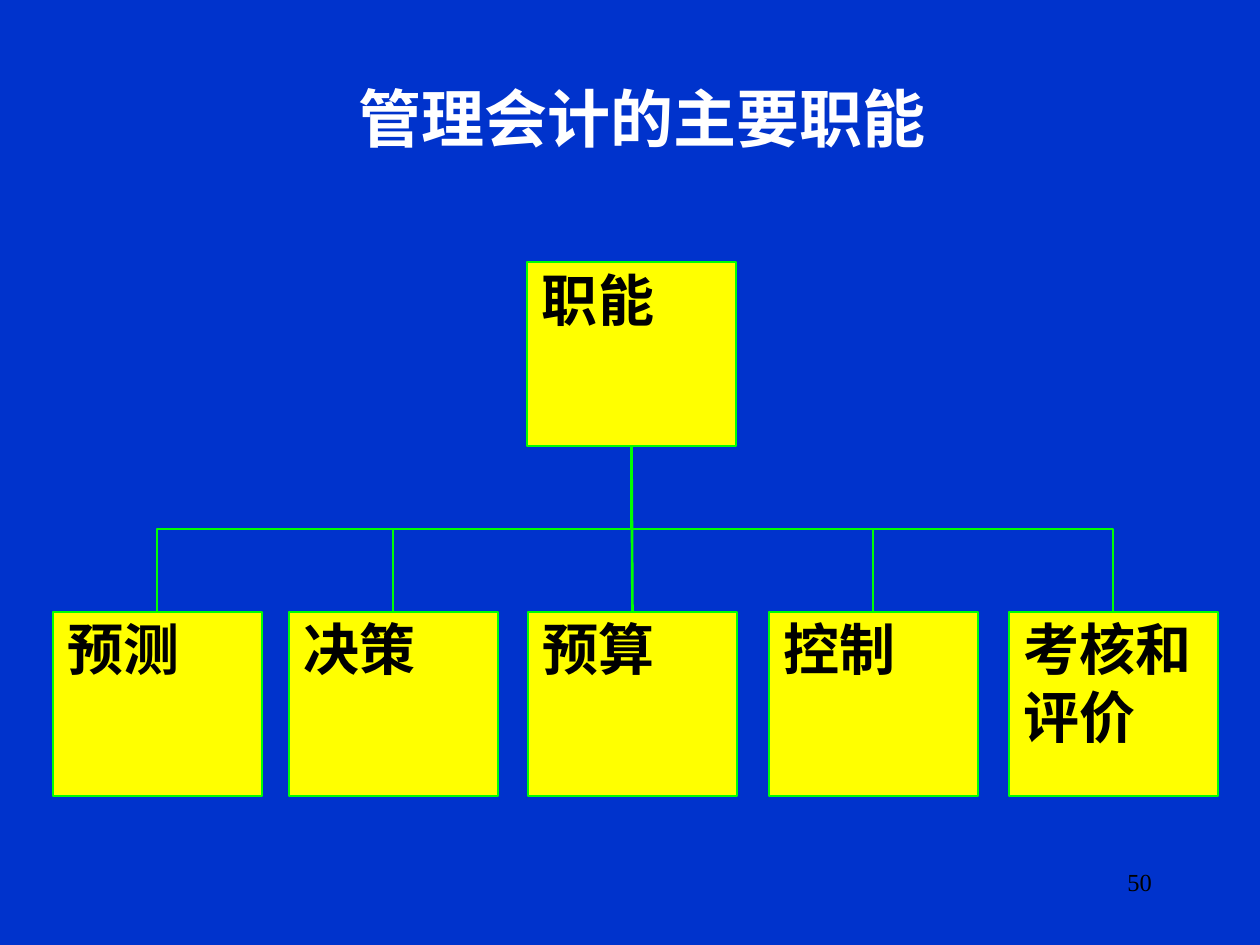
from dataclasses import dataclass

from lxml import etree
from pptx import Presentation
from pptx.dml.color import RGBColor
from pptx.enum.shapes import MSO_CONNECTOR, MSO_SHAPE
from pptx.enum.text import MSO_ANCHOR, MSO_AUTO_SIZE, PP_ALIGN
from pptx.oxml.ns import qn
from pptx.shapes.autoshape import Shape
from pptx.slide import Slide
from pptx.util import Emu, Pt

ELBOW, STRAIGHT = MSO_CONNECTOR.ELBOW, MSO_CONNECTOR.STRAIGHT
RECTANGLE = MSO_SHAPE.RECTANGLE
TOP = MSO_ANCHOR.TOP
NO_AUTOFIT = MSO_AUTO_SIZE.NONE
LEFT, RIGHT = PP_ALIGN.LEFT, PP_ALIGN.RIGHT
EMU_PER_PX = 914400 / 126
BLUE, YELLOW, GREEN, WHITE, BLACK = "0033CC", "FFFF00", "00FF00", "FFFFFF", "000000"
FONT = "Times New Roman"
BOX_WIDTH, BOX_HEIGHT = 209, 184
BOX_INSETS = (15, 3, 3, 3)
TITLE_INSETS = (13, 6, 0, 6)
NUMBER_INSETS = (13, 6, 13, 6)
BOTTOM_SITE, TOP_SITE = 2, 0
QUARTER_TURN, THREE_QUARTER_TURN = "5400000", "16200000"


@dataclass(frozen=True)
class Function:
    """One box of the chart, with its label and top left corner in px."""
    label: str
    left: int
    top: int = 612

    @property
    def center(self) -> int:
        """Return the horizontal middle of the box."""
        return self.left + BOX_WIDTH // 2


ROOT = Function("职能", 527, 262)
BRANCHES = (
    Function("预测", 53),
    Function("决策", 289),
    Function("预算", 528),
    Function("控制", 769),
    Function("考核和评价", 1009),
)


def px(value: float) -> Emu:
    """Turn px into EMU."""
    return Emu(round(value * EMU_PER_PX))


def color(value: str) -> RGBColor:
    """Turn a hex string into a colour."""
    return RGBColor.from_string(value)


def write(shape: Shape, text: str, size: int, ink: str, insets: tuple[int, ...],
          bold: bool = True, alignment: PP_ALIGN = LEFT) -> None:
    """Fill a shape with one formatted paragraph."""
    frame = shape.text_frame
    sides = ("margin_left", "margin_top", "margin_right", "margin_bottom")
    frame_format = dict(zip(sides, map(px, insets)))
    frame_format |= {"word_wrap": True, "auto_size": NO_AUTOFIT, "vertical_anchor": TOP}
    for name, value in frame_format.items():
        setattr(frame, name, value)
    para = frame.paragraphs[0]
    para.alignment = alignment
    span = para.add_run()
    span.text = text
    for name, value in {"name": FONT, "size": Pt(size), "bold": bold}.items():
        setattr(span.font, name, value)
    span.font.color.rgb = color(ink)


def draw_box(page: Slide, function: Function) -> Shape:
    """Draw one labelled box."""
    place = (function.left, function.top, BOX_WIDTH, BOX_HEIGHT)
    box = page.shapes.add_shape(RECTANGLE, *map(px, place))
    box.shadow.inherit = False
    box.fill.solid()
    box.fill.fore_color.rgb = color(YELLOW)
    box.line.color.rgb = color(GREEN)
    box.line.width = Pt(1)
    write(box, function.label, 32, BLACK, BOX_INSETS)
    return box


def draw_branch(page: Slide, root_box: Shape, box: Shape, branch: Function) -> None:
    """Join the root box to a branch box, bending halfway down."""
    offset = branch.center - ROOT.center
    straight = abs(offset) < 2
    connector = page.shapes.add_connector(STRAIGHT if straight else ELBOW, 0, 0, 0, 0)
    connector.begin_connect(root_box, BOTTOM_SITE)
    connector.end_connect(box, TOP_SITE)
    connector.line.color.rgb = color(GREEN)
    connector.line.width = Pt(1.5)
    properties = connector._element.spPr
    etree.SubElement(properties, qn("a:effectLst"))
    if straight:
        return
    start = ROOT.top + BOX_HEIGHT
    drop, spread = branch.top - start, abs(offset)
    middle_x, middle_y = ROOT.center + offset / 2, start + drop / 2
    geometry = {"left": middle_x - drop / 2, "top": middle_y - spread / 2,
                "width": drop, "height": spread}
    for name, value in geometry.items():
        setattr(connector, name, px(value))
    rightward = offset > 0
    turn = {"rot": THREE_QUARTER_TURN if rightward else QUARTER_TURN,
            "flipH": "1" if rightward else "0", "flipV": "0"}
    for name, value in turn.items():
        properties.xfrm.set(name, value)


def main() -> None:
    """Build the slide and save it."""
    deck = Presentation()
    deck.slide_width, deck.slide_height = px(1260), px(945)
    page = deck.slides.add_slide(deck.slide_layouts.get_by_name("Title Only"))
    page.background.fill.solid()
    page.background.fill.fore_color.rgb = color(BLUE)

    title = page.shapes.title
    place = {"left": 345, "top": 73, "width": 592, "height": 88}
    for name, value in place.items():
        setattr(title, name, px(value))
    write(title, "管理会计的主要职能", 36, WHITE, TITLE_INSETS)

    root_box = draw_box(page, ROOT)
    for branch in BRANCHES:
        draw_branch(page, root_box, draw_box(page, branch), branch)

    number = page.shapes.add_textbox(*map(px, (903, 861, 262, 63)))
    write(number, "50", 14, BLACK, NUMBER_INSETS, bold=False, alignment=RIGHT)
    deck.save("out.pptx")


if __name__ == "__main__":
    main()
